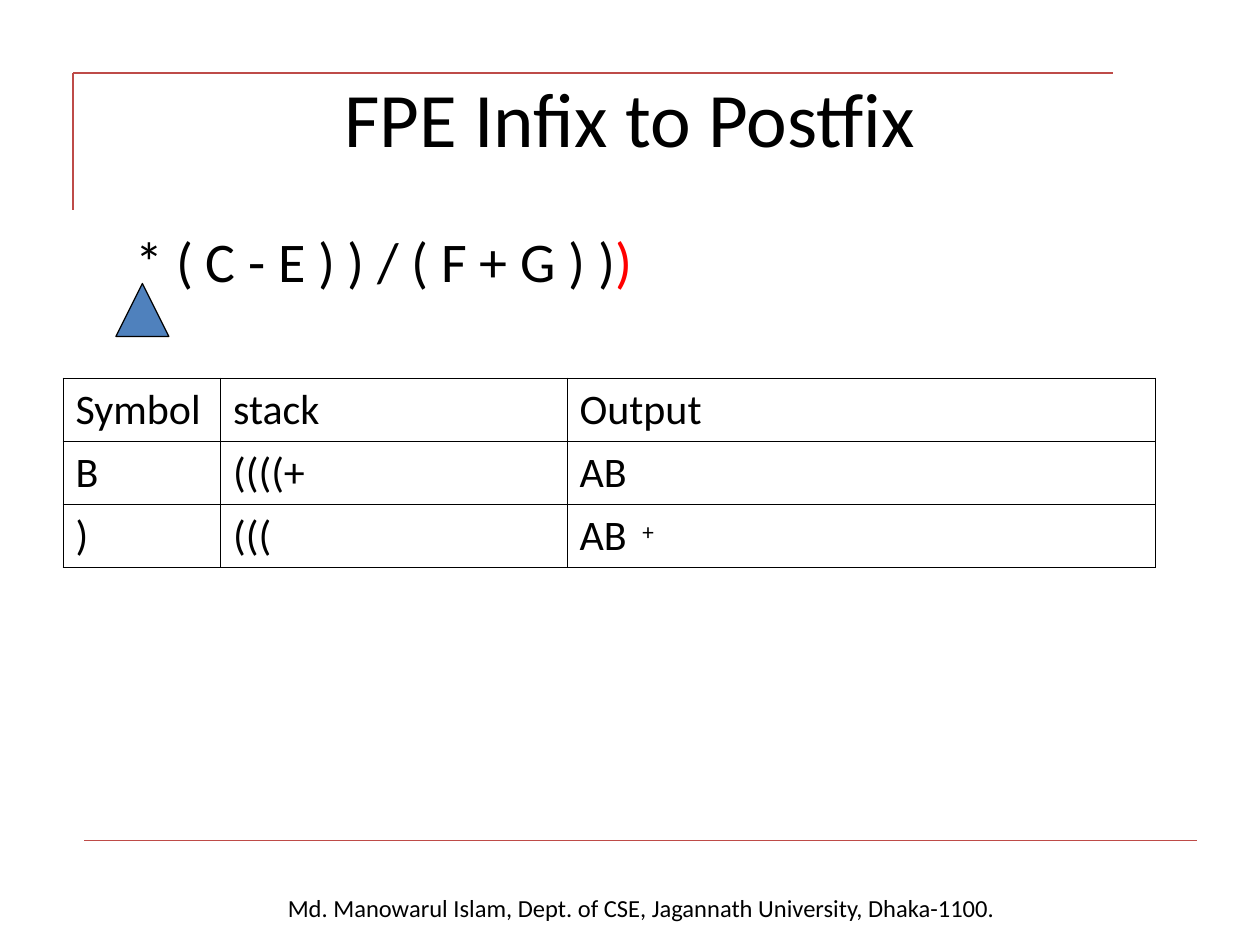
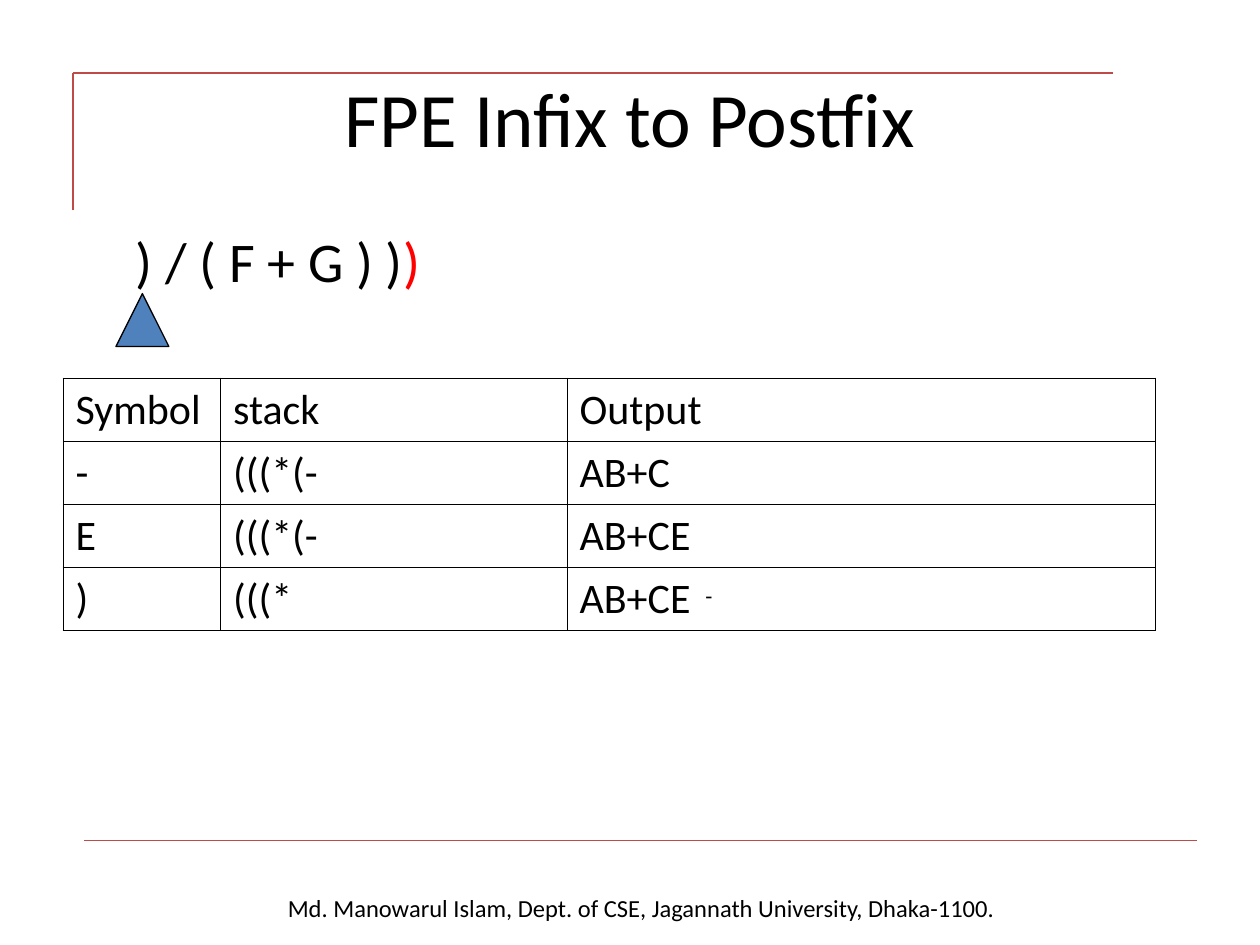
import pptx
import pptx.util
import pptx.dml.color
import pptx.enum.shapes
import pptx.enum.text
import pptx.oxml.ns
import lxml.etree

Inches = pptx.util.Inches
Pt = pptx.util.Pt
Shape = pptx.enum.shapes.MSO_SHAPE
Align = pptx.enum.text.PP_ALIGN
Anchor = pptx.enum.text.MSO_ANCHOR

# Content: input left to read, table rows, and the operator that was popped
TITLE = "FPE Infix to Postfix"
FOOTER = "Md. Manowarul Islam, Dept. of CSE, Jagannath University, Dhaka-1100."
HEADS = ("Symbol", "stack", "Output")
STEPS = [
    {
        "input": "* ( C - E ) ) / ( F + G ) )",
        "arrow": 2.25,
        "rows": [("B", "((((+", "AB"), (")", "(((", "AB")],
        "popped": ("+", 5, 4.07),
    },
    {
        "input": ") / ( F + G ) )",
        "arrow": 2.33,
        "rows": [("-", "(((*(-", "AB+C"), ("E", "(((*(-", "AB+CE"),
                 (")", "(((*", "AB+CE")],
        "popped": ("-", 5.5, 4.58),
    },
]

# Shared style
FONT = "Calibri"
BLACK, WHITE, RED = "000000", "FFFFFF", "FF0000"
RULE, BLUE = "BE4B48", "4F81BD"
RULES = [(0.58, 0.58, 0.58, 1.67), (0.58, 0.58, 8.83, 0.58), (0.67, 6.67, 9.5, 6.67)]
COLS = (1.25, 2.75, 4.67)
ROW = 0.5


def color(code):
    return pptx.dml.color.RGBColor.from_string(code)


def style(par, size, code=BLACK, align=Align.LEFT):
    par.alignment = align
    for run in par.runs:
        run.font.name = FONT
        run.font.size = Pt(size)
        run.font.color.rgb = color(code)


def add_text(slide, text, box, size, align=Align.LEFT):
    frame = slide.shapes.add_textbox(*map(Inches, box)).text_frame
    frame.word_wrap = True
    frame.text = text
    style(frame.paragraphs[0], size, align=align)
    return frame.paragraphs[0]


def add_block(slide, kind, box, fill, line=None):
    block = slide.shapes.add_shape(kind, *map(Inches, box))
    block.shadow.inherit = False
    block.fill.solid()
    block.fill.fore_color.rgb = color(fill)
    if line:
        block.line.color.rgb = color(line)
        block.line.width = Pt(0.75)
    else:
        block.line.fill.background()
    return block


def add_frame(slide):
    """Red rules, title and footer found on every slide."""
    for ends in RULES:
        rule = slide.shapes.add_connector(
            pptx.enum.shapes.MSO_CONNECTOR.STRAIGHT, *map(Inches, ends))
        rule.line.color.rgb = color(RULE)
        rule.line.width = Pt(0.75)
        lxml.etree.SubElement(rule._element.spPr, pptx.oxml.ns.qn("a:effectLst"))
    title = slide.shapes.title
    title.left, title.top, title.width, title.height = map(Inches, (0.5, 0.3, 9, 1.25))
    title.text_frame.text = TITLE
    title.text_frame.vertical_anchor = Anchor.MIDDLE
    style(title.text_frame.paragraphs[0], 44, align=Align.CENTER)
    add_text(slide, FOOTER, (0.38, 7.04, 9.42, 0.34), 14, Align.CENTER)


def add_edges(cell):
    qn = pptx.oxml.ns.qn
    props = cell._tc.get_or_add_tcPr()
    for side in ("a:lnL", "a:lnR", "a:lnT", "a:lnB"):
        edge = lxml.etree.SubElement(props, qn(side), w=str(Pt(0.45)))
        fill = lxml.etree.SubElement(edge, qn("a:solidFill"))
        lxml.etree.SubElement(fill, qn("a:srgbClr"), val=BLACK)


def add_trace(slide, rows):
    """Table of symbol, stack and output."""
    size = map(Inches, (0.5, 3, sum(COLS), ROW * len(rows)))
    table = slide.shapes.add_table(len(rows), len(COLS), *size).table
    table.first_row = table.horz_banding = False
    for col, width in zip(table.columns, COLS):
        col.width = Inches(width)
    for line, texts in zip(table.rows, rows):
        line.height = Inches(ROW)
        for cell, text in zip(line.cells, texts):
            cell.text_frame.text = text
            style(cell.text_frame.paragraphs[0], 24)
            add_edges(cell)
            cell.fill.background()


def add_step(deck, step):
    slide = deck.slides.add_slide(deck.slide_layouts[5])
    add_frame(slide)

    # Input with a red closing bracket
    par = add_text(slide, step["input"], (0.5, 1.75, 9, 4.95), 32)
    par.space_before = Pt(8)
    par._p.get_or_add_pPr().set("marL", str(Inches(0.48)))
    par.add_run().text = ")"
    style(par, 32)
    par.runs[-1].font.color.rgb = color(RED)

    # Pointer and table
    add_block(slide, Shape.ISOSCELES_TRIANGLE,
              (0.92, step["arrow"], 0.42, 0.42), BLUE, BLACK)
    add_trace(slide, [HEADS] + step["rows"])

    # Popped operator joins the output
    sign, left, top = step["popped"]
    frame = add_block(slide, Shape.RECTANGLE, (left, top, 0.25, 0.33), WHITE).text_frame
    frame.text = sign
    frame.vertical_anchor = Anchor.MIDDLE
    frame.paragraphs[0].line_spacing = 0.8
    style(frame.paragraphs[0], 13.2, align=Align.CENTER)


def main():
    deck = pptx.Presentation()
    deck.slide_width, deck.slide_height = Inches(10), Inches(7.5)
    for step in STEPS:
        add_step(deck, step)
    deck.save("out.pptx")


if __name__ == "__main__":
    main()
